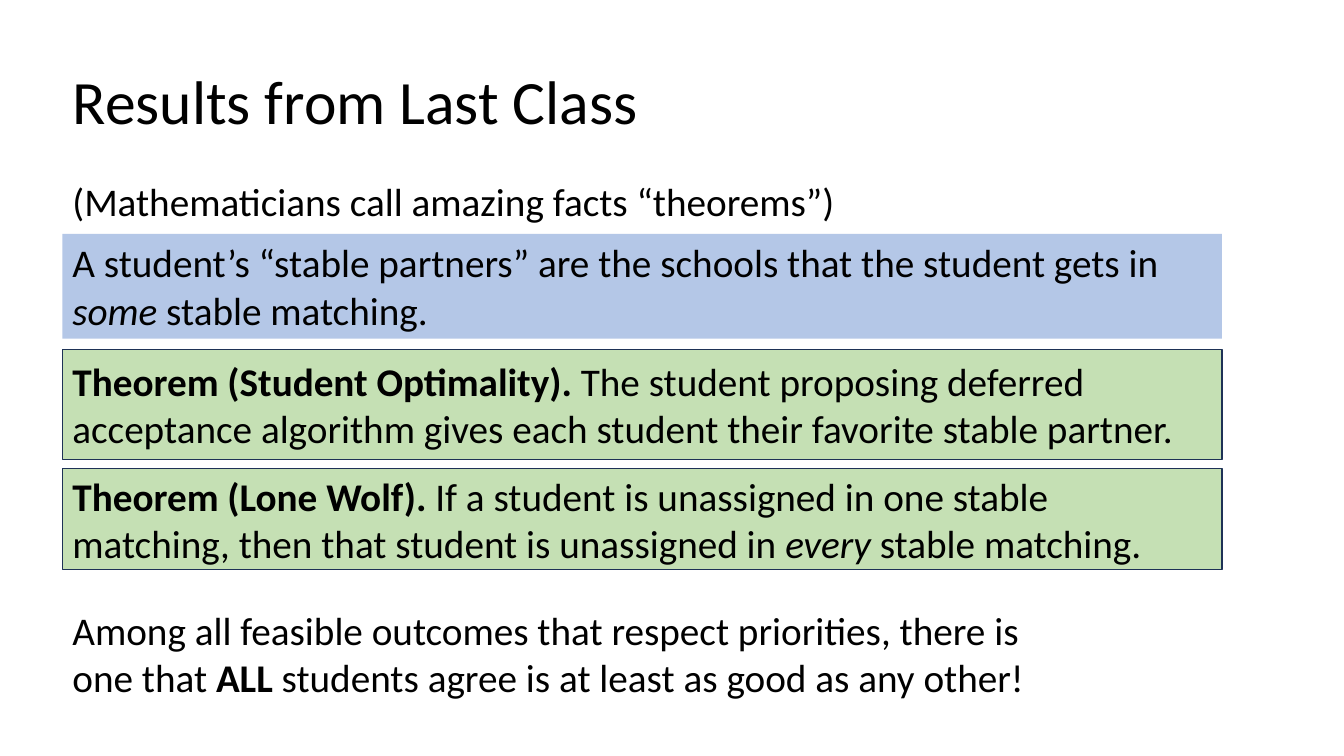
import pptx
import pptx.util
import pptx.dml.color
import pptx.enum.shapes
import pptx.enum.text

Inches, Pt = pptx.util.Inches, pptx.util.Pt
RGBColor = pptx.dml.color.RGBColor
MIDDLE = pptx.enum.text.MSO_ANCHOR.MIDDLE
TOP = pptx.enum.text.MSO_ANCHOR.TOP

BLACK = RGBColor(0x00, 0x00, 0x00)
BLUE = RGBColor(0xB4, 0xC7, 0xE7)
GREEN = RGBColor(0xC5, 0xE0, 0xB4)
NAVY = RGBColor(0x1E, 0x32, 0x56)

LEFT, WIDTH = 0.62, 11.5


def write(sp, runs, size=28, anchor=TOP, spacing=1.0):
    """Fill a shape with one left-aligned paragraph of (text, style) runs."""
    tf = sp.text_frame
    tf.word_wrap = True
    tf.auto_size = pptx.enum.text.MSO_AUTO_SIZE.NONE
    tf.vertical_anchor = anchor
    p = tf.paragraphs[0]
    p.alignment = pptx.enum.text.PP_ALIGN.LEFT
    p.line_spacing = spacing
    p.font.name, p.font.size, p.font.color.rgb = "Calibri", Pt(size), BLACK
    for text, style in runs:
        r = p.add_run()
        r.text = text
        if style == "bold":
            r.font.bold = True
        elif style == "italic":
            r.font.italic = True


prs = pptx.Presentation()
prs.slide_width, prs.slide_height = Inches(13.33), Inches(7.5)
s = prs.slides.add_slide(prs.slide_layouts[5])

# Title
title = s.shapes.title
title.left, title.top = Inches(LEFT), Inches(0.31)
title.width, title.height = Inches(WIDTH), Inches(1.45)
write(title, [("Results from Last Class", None)], 44, MIDDLE, 0.9)

# Definition and theorem boxes: top, height, fill, line, anchor, runs
boxes = [
    (2.32, 1.04, BLUE, None, TOP, [
        ("A student’s “stable partners” are the schools that the student gets in ", None),
        ("some ", "italic"),
        ("stable matching.", None)]),
    (3.47, 1.09, GREEN, NAVY, MIDDLE, [
        ("Theorem (Student Optimality). ", "bold"),
        ("The student proposing deferred acceptance algorithm gives each "
         "student their favorite stable partner.", None)]),
    (4.65, 1.0, GREEN, NAVY, MIDDLE, [
        ("Theorem (Lone Wolf). ", "bold"),
        ("If a student is unassigned in one stable matching, then that "
         "student is unassigned in ", None),
        ("every ", "italic"),
        ("stable matching.", None)]),
]
for top, height, fill, line, anchor, runs in boxes:
    sp = s.shapes.add_shape(pptx.enum.shapes.MSO_SHAPE.RECTANGLE, Inches(LEFT),
                            Inches(top), Inches(WIDTH), Inches(height))
    sp.shadow.inherit = False
    sp.fill.solid()
    sp.fill.fore_color.rgb = fill
    if line is None:
        sp.line.fill.background()
    else:
        sp.line.color.rgb = line
        sp.line.width = Pt(1)
    write(sp, runs, anchor=anchor)

# Plain text above and below the boxes: top, width, height, spacing, runs
notes = [
    (1.76, WIDTH, 0.58, 0.9, [
        ("(Mathematicians call amazing facts “theorems”)", None)]),
    (5.97, 10.08, 1.04, 1.0, [
        ("Among all feasible outcomes that respect priorities, there is one that ", None),
        ("ALL", "bold"),
        (" students agree is at least as good as any other!", None)]),
]
for top, width, height, spacing, runs in notes:
    sp = s.shapes.add_textbox(Inches(LEFT), Inches(top), Inches(width), Inches(height))
    write(sp, runs, spacing=spacing)

prs.save("out.pptx")
